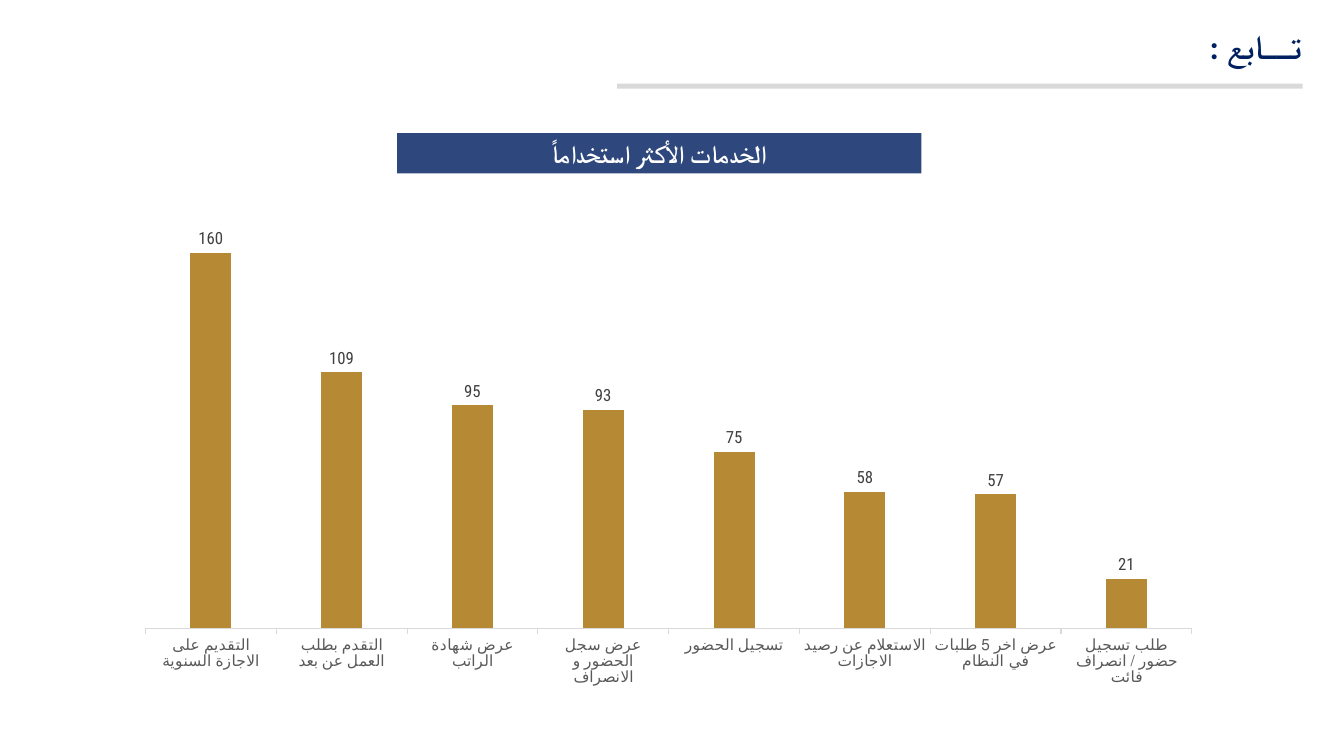
import pptx
import pptx.chart.data
import pptx.dml.color
import pptx.enum.chart
import pptx.enum.shapes
import pptx.enum.text
import pptx.oxml
import pptx.oxml.ns
import pptx.util

PX = 9144
HUES = {
    "gold": "B68A35", "navy": "2E487D", "ink": "002060", "white": "FFFFFF",
    "rule": "D9D9D9", "label": "404040", "axis": "595959", "black": "000000",
}
DATA = {
    "التقديم على الاجازة السنوية": 160,
    "التقدم بطلب العمل عن بعد": 109,
    "عرض شهادة الراتب": 95,
    "عرض سجل الحضور و الانصراف": 93,
    "تسجيل الحضور": 75,
    "الاستعلام عن رصيد الاجازات": 58,
    "عرض اخر 5 طلبات في النظام": 57,
    "طلب تسجيل حضور / انصراف فائت": 21,
}
PLOT = {"x": 0.068, "y": 0.162, "w": 0.925, "h": 0.707}


def px(*nums):
    return [pptx.util.Emu(num * PX) for num in nums]


def hue(name):
    return pptx.dml.color.RGBColor.from_string(HUES[name])


def put(item, values):
    for name, value in values.items():
        setattr(item, name, value)


def style(font, size, color, face="Calibri", bold=False):
    put(font, {"size": pptx.util.Pt(size), "name": face, "bold": bold})
    font.color.rgb = hue(color)


def write(shape, text, size, color, align):
    frame = shape.text_frame
    put(frame, {
        "text": text, "word_wrap": True,
        "auto_size": pptx.enum.text.MSO_AUTO_SIZE.SHAPE_TO_FIT_TEXT,
    })
    para = frame.paragraphs[0]
    para.alignment = align
    para._p.get_or_add_pPr().set("rtl", "1")
    run = para.runs[0]
    style(run.font, size, color, bold=True)
    face = pptx.oxml.parse_xml(
        f'<a:cs {pptx.oxml.ns.nsdecls("a")} typeface="Calibri"/>')
    run.font._element.append(face)


def add_title(slide, text, box):
    title = slide.shapes.title
    put(title, dict(zip(("left", "top", "width", "height"), px(*box))))
    write(title, text, 24, "ink", pptx.enum.text.PP_ALIGN.RIGHT)
    put(title.text_frame, {
        "margin_left": 0, "margin_right": 0, "margin_top": 0,
        "margin_bottom": 0,
        "vertical_anchor": pptx.enum.text.MSO_ANCHOR.TOP,
    })


def add_bar(slide, box, color):
    bar = slide.shapes.add_shape(
        pptx.enum.shapes.MSO_SHAPE.RECTANGLE, *px(*box))
    bar.shadow.inherit = False
    bar.fill.solid()
    bar.fill.fore_color.rgb = hue(color)
    bar.line.fill.background()
    return bar


def set_plot(chart):
    edges = "".join(
        f'<c:{key}Mode val="edge"/>' for key in "xy")
    sizes = "".join(
        f'<c:{key} val="{value}"/>' for key, value in PLOT.items())
    area = chart._chartSpace.chart.plotArea
    for old in area.findall(pptx.oxml.ns.qn("c:layout")):
        area.remove(old)
    area.insert(0, pptx.oxml.parse_xml(
        f'<c:layout {pptx.oxml.ns.nsdecls("c")}><c:manualLayout>'
        f'<c:layoutTarget val="inner"/>{edges}{sizes}'
        '</c:manualLayout></c:layout>'))


def add_chart(slide, box):
    data = pptx.chart.data.CategoryChartData()
    data.categories = list(DATA)
    data.add_series("Series 1", list(DATA.values()))
    kinds = pptx.enum.chart
    chart = slide.shapes.add_chart(
        kinds.XL_CHART_TYPE.COLUMN_CLUSTERED, *px(*box), data).chart
    put(chart, {"has_legend": False, "has_title": False})
    style(chart.font, 10, "black", "Roboto Condensed")
    set_plot(chart)

    put(chart.value_axis, {
        "visible": False, "has_major_gridlines": False,
        "minimum_scale": 0, "maximum_scale": 180,
    })
    axis = chart.category_axis
    axis.major_tick_mark = kinds.XL_TICK_MARK.OUTSIDE
    style(axis.tick_labels.font, 11, "axis")
    axis.format.line.color.rgb = hue("rule")
    axis.format.line.width = pptx.util.Pt(0.75)

    plot = chart.plots[0]
    put(plot, {"gap_width": 219, "overlap": -27,
               "vary_by_categories": False})
    series = plot.series[0]
    series.format.fill.solid()
    series.format.fill.fore_color.rgb = hue("gold")
    labels = series.data_labels
    put(labels, {"show_value": True,
                 "position": kinds.XL_LABEL_POSITION.OUTSIDE_END})
    style(labels.font, 12, "label", "Roboto Condensed")


def main():
    deck = pptx.Presentation()
    wide, high = px(1333, 750)
    put(deck, {"slide_width": wide, "slide_height": high})
    slide = deck.slides.add_slide(deck.slide_layouts[5])
    add_title(slide, "تــابع :", (1167, 26, 124, 40))
    add_chart(slide, (68, 108, 1122, 593))
    banner = add_bar(slide, (394, 132, 520, 40), "navy")
    write(banner, "الخدمات الأكثر استخداماً", 18, "white",
          pptx.enum.text.PP_ALIGN.CENTER)
    for part in range(2):
        add_bar(slide, (612 + 340 * part, 83, 340, 5), "rule")
    deck.save("out.pptx")


if __name__ == "__main__":
    main()
